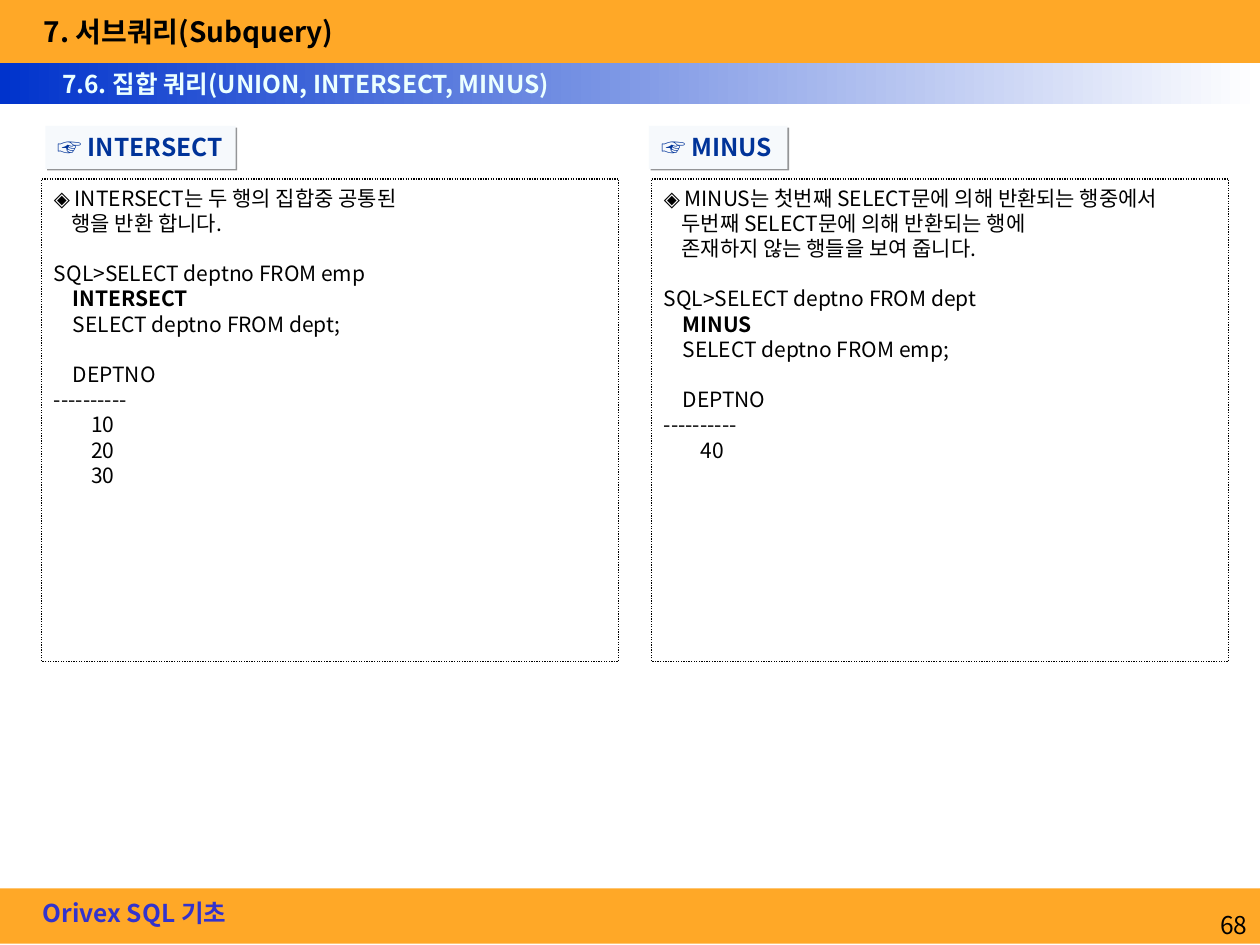
from dataclasses import dataclass

from lxml.etree import SubElement
from pptx import Presentation
from pptx.dml.color import RGBColor
from pptx.enum.dml import MSO_LINE
from pptx.enum.shapes import MSO_SHAPE
from pptx.enum.text import MSO_ANCHOR, PP_ALIGN
from pptx.oxml.ns import qn
from pptx.util import Inches, Pt

WIDTH, HEIGHT = 10, 7.5
COLS, ROWS = 100, 75


@dataclass(frozen=True)
class Theme:
    font: str = "Noto Sans CJK KR"
    orange: str = "FFA827"
    blue: str = "0033CC"
    white: str = "FFFFFF"
    black: str = "000000"
    footer: str = "3333CC"
    subtitle: str = "EBFFFF"
    label: str = "003399"
    label_fill: str = "F6F9FC"
    label_shadow: str = "949597"
    title_size: int = 16
    heading_size: int = 14
    body_size: int = 12


@dataclass(frozen=True)
class Box:
    col: float
    row: float
    cols: float
    rows: float


@dataclass(frozen=True)
class Line:
    text: str
    indent: float = 0
    bold: bool = False
    gap: bool = False


@dataclass(frozen=True)
class Panel:
    label: str
    label_box: Box
    body_box: Box
    lines: tuple[Line, ...]


@dataclass(frozen=True)
class Caption:
    text: str
    box: Box
    size: int
    color: str
    bold: bool = True
    align: PP_ALIGN = PP_ALIGN.LEFT


T = Theme()
HANG, CODE, VALUE = 1.4, 1.5, 2.95
BLANK_LINE = Pt(14.4)


def x(cols: float) -> int:
    return Inches(cols * WIDTH / COLS)


def y(rows: float) -> int:
    return Inches(rows * HEIGHT / ROWS)


def place(box: Box) -> tuple[int, int, int, int]:
    return x(box.col), y(box.row), x(box.cols), y(box.rows)


def rgb(color: str) -> RGBColor:
    return RGBColor.from_string(color)


def style(p, size: int, color: str, bold: bool, align=PP_ALIGN.LEFT) -> None:
    p.alignment = align
    for r in p.runs:
        r.font.size = Pt(size)
        r.font.name = T.font
        r.font.bold = bold
        r.font.color.rgb = rgb(color)
        SubElement(r.font._element, qn("a:ea"), typeface=T.font)


def add_rect(s, box: Box, fill: str | None = None):
    sp = s.shapes.add_shape(MSO_SHAPE.RECTANGLE, *place(box))
    sp.shadow.inherit = False
    sp.line.fill.background()
    if fill:
        sp.fill.solid()
        sp.fill.fore_color.rgb = rgb(fill)
    else:
        sp.fill.background()
    sp.text_frame.vertical_anchor = MSO_ANCHOR.TOP
    return sp


def add_gradient_band(s, box: Box, start: str, end: str) -> None:
    sp = add_rect(s, box)
    sp.fill.gradient()
    sp.fill.gradient_angle = 0
    for stop, color in zip(sp.fill.gradient_stops, (start, end)):
        stop.color.rgb = rgb(color)


def add_caption(s, c: Caption) -> None:
    tf = s.shapes.add_textbox(*place(c.box)).text_frame
    tf.word_wrap = c.align == PP_ALIGN.RIGHT
    tf.text = c.text
    style(tf.paragraphs[0], c.size, c.color, c.bold, c.align)


def add_label(s, text: str, box: Box) -> None:
    sp = add_rect(s, box, T.label_fill)
    effects = sp._element.spPr.find(qn("a:effectLst"))
    shadow = SubElement(effects, qn("a:outerShdw"), dist=str(Pt(1.4)),
                        dir="2700000", algn="ctr", rotWithShape="0")
    SubElement(shadow, qn("a:srgbClr"), val=T.label_shadow)
    tf = sp.text_frame
    tf.word_wrap = False
    tf.text = text
    style(tf.paragraphs[0], T.heading_size, T.label, True)


def add_panel(s, panel: Panel) -> None:
    add_label(s, panel.label, panel.label_box)
    sp = add_rect(s, panel.body_box)
    sp.line.color.rgb = rgb(T.black)
    sp.line.width = Pt(0.75)
    sp.line.dash_style = MSO_LINE.ROUND_DOT
    tf = sp.text_frame
    tf.word_wrap = True
    tf.text = "\n".join(line.text for line in panel.lines)
    for p, line in zip(tf.paragraphs, panel.lines):
        style(p, T.body_size, T.black, line.bold)
        p._p.get_or_add_pPr().set("marL", str(x(line.indent)))
        if line.gap:
            p.space_before = BLANK_LINE


def query_lines(operator: str, first: str, second: str,
                values: tuple[int, ...]) -> tuple[Line, ...]:
    return (
        Line(f"SQL>SELECT deptno FROM {first}", gap=True),
        Line(operator, CODE, bold=True),
        Line(f"SELECT deptno FROM {second};", CODE),
        Line("DEPTNO", CODE, gap=True),
        Line("-" * 10),
        *(Line(str(value), VALUE) for value in values),
    )


PANELS = (
    Panel("☞ INTERSECT", Box(3.6, 10, 15.1, 3.4), Box(3.3, 14.2, 45.8, 38.3), (
        Line("◈ INTERSECT는 두 행의 집합중 공통된"),
        Line("행을 반환 합니다.", HANG),
        *query_lines("INTERSECT", "emp", "dept", (10, 20, 30)),
    )),
    Panel("☞ MINUS", Box(51.5, 10, 11, 3.4), Box(51.7, 14.2, 45.8, 38.3), (
        Line("◈ MINUS는 첫번째 SELECT문에 의해 반환되는 행중에서"),
        Line("두번째 SELECT문에 의해 반환되는 행에", HANG),
        Line("존재하지 않는 행들을 보여 줍니다.", HANG),
        *query_lines("MINUS", "dept", "emp", (40,)),
    )),
)

CAPTIONS = (
    Caption("Orivex SQL 기초", Box(2.4, 70.8, 17.1, 3.4), T.heading_size, T.footer),
    Caption("68", Box(79.2, 71.7, 20.8, 3.3), T.heading_size, T.black,
            False, PP_ALIGN.RIGHT),
    Caption(" 7. 서브쿼리(Subquery)", Box(2, 0.7, 26.8, 3.7), T.title_size, T.black),
    Caption(" 7.6. 집합 쿼리(UNION, INTERSECT, MINUS)", Box(3.5, 5, 42.5, 3.4),
            T.heading_size, T.subtitle),
)


def main() -> None:
    prs = Presentation()
    prs.slide_width, prs.slide_height = Inches(WIDTH), Inches(HEIGHT)
    s = prs.slides.add_slide(prs.slide_layouts[6])
    add_rect(s, Box(0, 0, COLS, 5), T.orange)
    add_rect(s, Box(0, 70.5, COLS, 4.4), T.orange)
    add_gradient_band(s, Box(0, 5, COLS, 3.3), T.blue, T.white)
    for caption in CAPTIONS:
        add_caption(s, caption)
    for panel in PANELS:
        add_panel(s, panel)
    prs.save("out.pptx")


if __name__ == "__main__":
    main()
